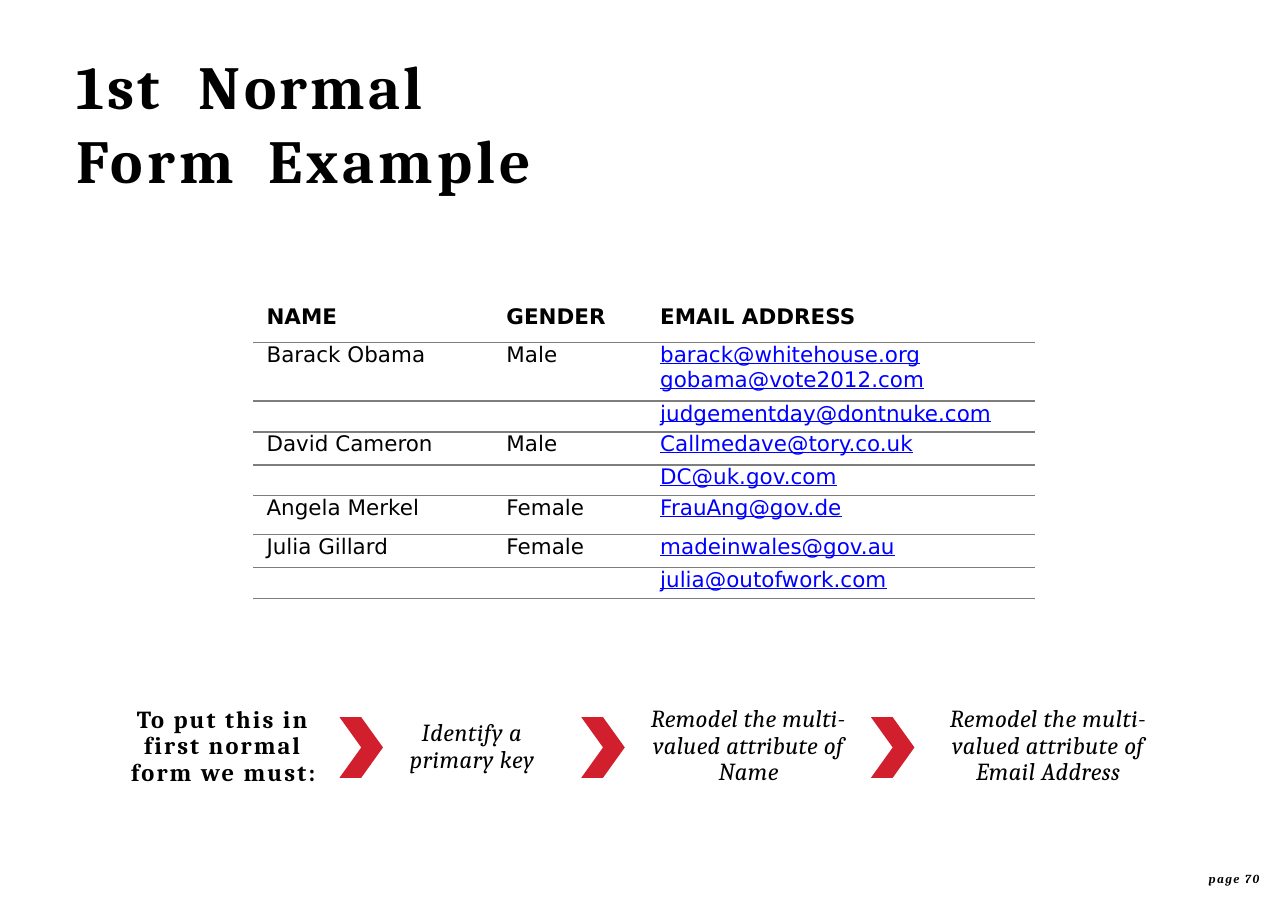
from lxml import etree
from pptx import Presentation
from pptx.dml.color import RGBColor
from pptx.enum.shapes import MSO_CONNECTOR, MSO_SHAPE
from pptx.enum.text import MSO_ANCHOR, MSO_AUTO_SIZE, PP_ALIGN
from pptx.oxml.ns import qn
from pptx.util import Pt

LEFT, CENTER, RIGHT = PP_ALIGN.LEFT, PP_ALIGN.CENTER, PP_ALIGN.RIGHT
TOP, NO_FIT = MSO_ANCHOR.TOP, MSO_AUTO_SIZE.NONE
CHEVRON, STRAIGHT = MSO_SHAPE.CHEVRON, MSO_CONNECTOR.STRAIGHT

SERIF, SANS = "Cambria", "DejaVu Sans"
BLACK, BLUE, RED, GRAY = "000000", "0000FF", "D11F2E", "7E7E7E"
NO_TABLE_STYLE = "{2D5ABB26-0587-4C30-8999-92F81FD0307C}"

# Text, tab stop and letter spacing of each title line
TITLE_LINES = [("1st\tNormal", 80, 2.1), ("Form\tExample", 125.3, 2.8)]

TABLE_LEFT, TABLE_TOP = 165.6, 198.7
COLUMN_WIDTHS = [141.6, 101.3, 267.6]
COLUMN_INDENTS = [8.6, 23.8, 23]
RECORDS = [
    (25.2, "NAME", "GENDER", "EMAIL ADDRESS"),
    (38.2, "Barack Obama", "Male", "barack@whitehouse.org\ngobama@vote2012.com"),
    (20.2, "", "", "judgementday@dontnuke.com"),
    (21.6, "David Cameron", "Male", "Callmedave@tory.co.uk"),
    (20.2, "", "", "DC@uk.gov.com"),
    (25.2, "Angela Merkel", "Female", "FrauAng@gov.de"),
    (21.6, "Julia Gillard", "Female", "madeinwales@gov.au"),
    (20.2, "", "", "julia@outofwork.com"),
]

# Left, top, width, letter spacing and text of each step
STEPS = [
    (81, 462.2, 130, 1.4, "To put this in first normal form we must:"),
    (261, 471, 95, 0.4, "Identify a primary key"),
    (421.9, 462, 134.6, 0.25, "Remodel the multi-valued attribute of Name"),
    (612.7, 462, 144.7, 0.3, "Remodel the multi-valued attribute of Email Address"),
]
CHEVRON_LEFTS = [221.9, 379.9, 569.2]


def color(hex_code):
    return RGBColor.from_string(hex_code)


def style(para, name, size, hex_code=BLACK, bold=False, italic=False, spacing=0):
    font = para.font
    font.name, font.size = name, Pt(size)
    font.bold, font.italic = bold, italic
    font.color.rgb = color(hex_code)
    if spacing:
        para._p.pPr.find(qn("a:defRPr")).set("spc", str(round(spacing * 100)))


def prepare_frame(frame):
    frame.word_wrap = True
    frame.auto_size = NO_FIT
    frame.vertical_anchor = TOP
    frame.margin_left = frame.margin_right = 0
    frame.margin_top = frame.margin_bottom = 0


def add_title(page):
    title = page.shapes.title
    title.left, title.top = Pt(50), Pt(31.7)
    title.width, title.height = Pt(743.8), Pt(97.2)
    frame = title.text_frame
    prepare_frame(frame)
    frame.text = "\n".join(text for text, _, _ in TITLE_LINES)
    for para, (_, stop, spacing) in zip(frame.paragraphs, TITLE_LINES):
        para.alignment = LEFT
        tabs = etree.SubElement(para._p.get_or_add_pPr(), qn("a:tabLst"))
        etree.SubElement(tabs, qn("a:tab"), pos=str(Pt(stop)), algn="l")
        style(para, SERIF, 40, bold=True, spacing=spacing)


def add_text(page, left, top, width, height, text, align):
    box = page.shapes.add_textbox(Pt(left), Pt(top), Pt(width), Pt(height))
    prepare_frame(box.text_frame)
    para = box.text_frame.paragraphs[0]
    para.text, para.alignment = text, align
    return para


def add_bottom_border(cell):
    line = etree.Element(qn("a:lnB"), w=str(Pt(1)))
    fill = etree.SubElement(line, qn("a:solidFill"))
    etree.SubElement(fill, qn("a:srgbClr"), val=GRAY)
    cell._tc.get_or_add_tcPr().insert(0, line)


def fill_cell(cell, text, indent, is_header, is_email):
    cell.margin_left = Pt(indent)
    cell.margin_right = cell.margin_top = cell.margin_bottom = 0
    cell.fill.background()
    cell.text = text
    for para in cell.text_frame.paragraphs:
        style(para, SANS, 14, BLUE if is_email else BLACK, bold=is_header)
        para.font.underline = is_email
        if not text:
            para._p.get_or_add_endParaRPr().set("sz", "1400")


def add_people_table(page):
    width, height = sum(COLUMN_WIDTHS), sum(record[0] for record in RECORDS)
    frame = page.shapes.add_table(len(RECORDS), len(COLUMN_WIDTHS), Pt(TABLE_LEFT),
                                  Pt(TABLE_TOP), Pt(width), Pt(height))
    table = frame.table
    table.horz_banding = False
    table._tbl.tblPr.find(qn("a:tableStyleId")).text = NO_TABLE_STYLE
    for column, column_width in zip(table.columns, COLUMN_WIDTHS):
        column.width = Pt(column_width)
    for i, (row_height, *texts) in enumerate(RECORDS):
        table.rows[i].height = Pt(row_height)
        for j, (text, indent) in enumerate(zip(texts, COLUMN_INDENTS)):
            cell = table.cell(i, j)
            fill_cell(cell, text, indent, i == 0, i > 0 and j == 2)
            if i < len(RECORDS) - 1:
                add_bottom_border(cell)
    add_rule(page, TABLE_LEFT, TABLE_TOP + height, width)


def add_rule(page, left, top, width):
    rule = page.shapes.add_connector(STRAIGHT, Pt(left), Pt(top),
                                     Pt(left + width), Pt(top))
    rule.line.color.rgb = color(GRAY)
    rule.line.width = Pt(1)
    etree.SubElement(rule._element.spPr, qn("a:effectLst"))


def add_chevron(page, left):
    chevron = page.shapes.add_shape(CHEVRON, Pt(left), Pt(468.7), Pt(28.4), Pt(39.6))
    chevron.shadow.inherit = False
    chevron.fill.solid()
    chevron.fill.fore_color.rgb = color(RED)
    chevron.line.fill.background()


def main():
    deck = Presentation()
    deck.slide_width, deck.slide_height = Pt(841.7), Pt(595.4)
    page = deck.slides.add_slide(deck.slide_layouts[5])

    add_title(page)
    add_people_table(page)

    # Steps towards first normal form
    for i, (left, top, width, spacing, text) in enumerate(STEPS):
        para = add_text(page, left, top, width, 52.6, text, CENTER)
        para.line_spacing = 0.9
        style(para, SERIF, 16, bold=i == 0, italic=i > 0, spacing=spacing)
    for left in CHEVRON_LEFTS:
        add_chevron(page, left)

    # Page number
    para = add_text(page, 770, 569.5, 53, 10.1, "page 70", RIGHT)
    style(para, SERIF, 8, bold=True, italic=True, spacing=0.9)

    deck.save("out.pptx")


if __name__ == "__main__":
    main()
